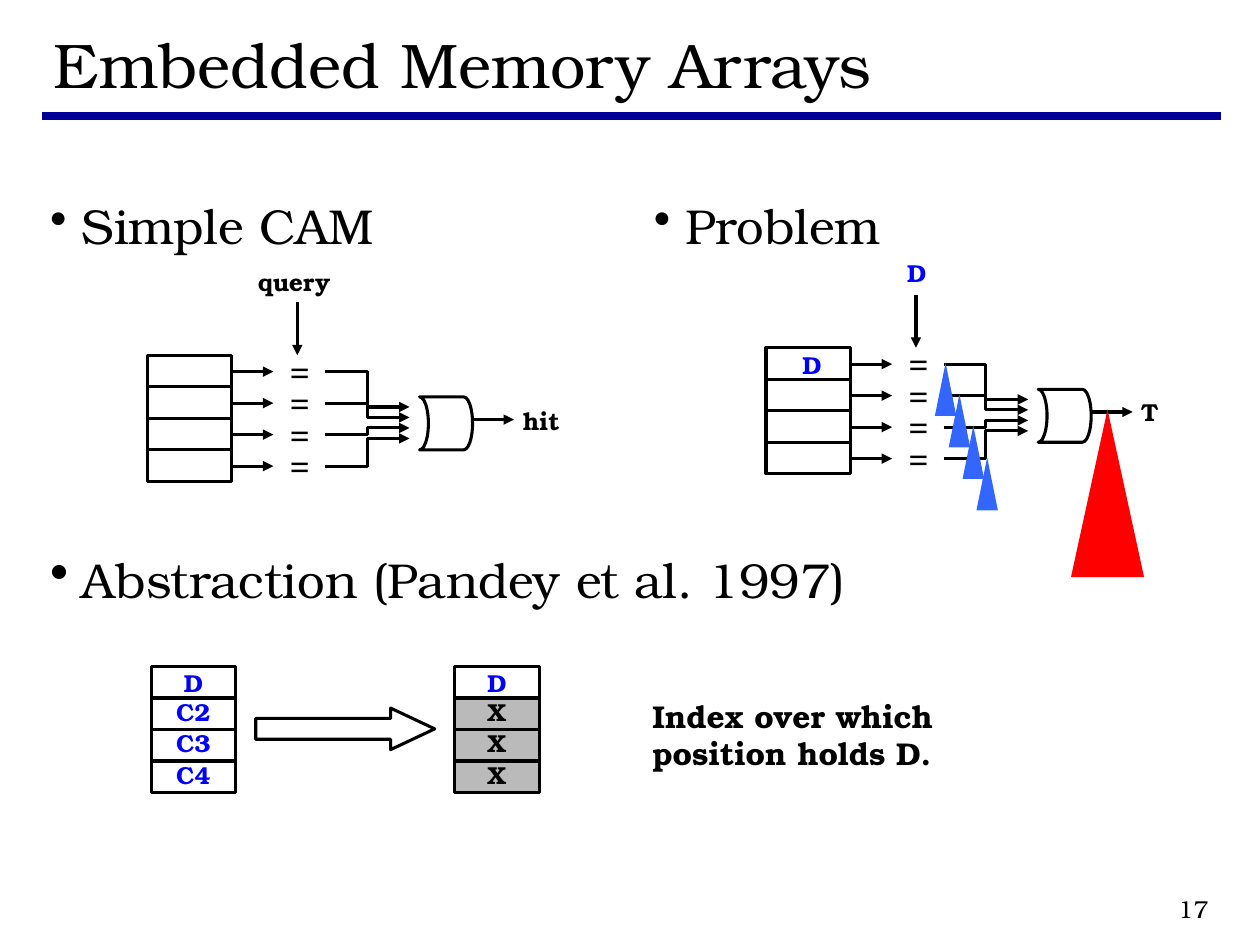
from pptx import Presentation
from pptx.dml import color
from pptx.enum import shapes, text
from pptx.oxml import ns, xmlchemy
from pptx.util import Inches, Pt

SERIF = "TeX Gyre Bonum"
ROMAN = "Times New Roman"
BLACK, BLUE, NAVY, GREY = "000000", "0000FF", "000099", "777777"
RED, SKY = "FF0000", "3366FF"
KIND = shapes.MSO_SHAPE
ALIGN = text.PP_ALIGN
WIRE = 1.75
ROW, CELL = 0.25, 0.67


def paint(hue):
    return color.RGBColor.from_string(hue)


def add_tag(parent, tag, **attrs):
    node = xmlchemy.OxmlElement(tag)
    for key, val in attrs.items():
        node.set(key, val)
    parent.append(node)
    return node


def add_text(slide, words, x, y, w, h, size=14, hue=BLACK, bold=True,
             font=SERIF, align=ALIGN.CENTER, middle=False):
    box = slide.shapes.add_textbox(Inches(x), Inches(y), Inches(w), Inches(h))
    frame = box.text_frame
    frame.word_wrap = True
    if middle:
        frame.vertical_anchor = text.MSO_ANCHOR.MIDDLE
    frame.text = words
    for para in frame.paragraphs:
        para.alignment = align
        for run in para.runs:
            run.font.name, run.font.size = font, Pt(size)
            run.font.bold = bold
            run.font.color.rgb = paint(hue)
    return frame


def add_label(slide, words, x, y, hue=BLACK, w=1.33):
    add_text(slide, words, x, y, w, 0.34, hue=hue)


def add_list(slide, words, x, w, gap=0):
    frame = add_text(slide, words, x, 1.5, w, 5.35, size=28, bold=False,
                     align=ALIGN.LEFT)
    for i, para in enumerate(frame.paragraphs):
        props = para._p.get_or_add_pPr()
        props.set("marL", str(Inches(0.25)))
        props.set("indent", str(-Inches(0.25)))
        if i:
            para.space_before = Pt(gap)
            add_tag(props, "a:buSzPct", val="110000")
        add_tag(props, "a:buChar", char="•")


def add_form(slide, kind, x, y, w, h, fill=None, alpha=None, line=True):
    form = slide.shapes.add_shape(kind, Inches(x), Inches(y), Inches(w), Inches(h))
    form.shadow.inherit = False
    if fill:
        form.fill.solid()
        form.fill.fore_color.rgb = paint(fill)
        if alpha:
            tone = form.fill._xPr.find(".//" + ns.qn("a:srgbClr"))
            add_tag(tone, "a:alpha", val=str(alpha * 1000))
    else:
        form.fill.background()
    if line:
        form.line.color.rgb = paint(BLACK)
        form.line.width = Pt(WIRE)
    else:
        form.line.fill.background()
    return form


def add_wire(slide, x1, y1, x2, y2, bent=False, hue=BLACK, width=WIRE, head=True):
    kind = shapes.MSO_CONNECTOR.ELBOW if bent else shapes.MSO_CONNECTOR.STRAIGHT
    wire = slide.shapes.add_connector(
        kind, Inches(x1), Inches(y1), Inches(x2), Inches(y2))
    wire.line.color.rgb = paint(hue)
    wire.line.width = Pt(width)
    if head:
        add_tag(wire.line._ln, "a:tailEnd", type="triangle")
    add_tag(wire._element.spPr, "a:effectLst")


def add_cam(slide, x, y):
    """Four stored rows, each compared with the query and joined in a gate."""
    for i in range(4):
        top = y + i * ROW
        mid = top + 0.13
        add_form(slide, KIND.RECTANGLE, x, top, CELL, ROW)
        add_text(slide, "=", x + 1, top - 0.09, 0.42, 0.44, size=20, font=ROMAN)
        add_wire(slide, x + CELL, mid, x + 1, mid)
        add_wire(slide, x + 1.41, mid, x + 2.08, y + 0.41 + i / 12, bent=True)
    add_wire(slide, x + 1.19, y - 0.42, x + 1.19, y)
    gate = add_form(slide, KIND.FLOWCHART_STORED_DATA, x + 2.16, y + 0.33, 0.42, 0.42)
    gate.rotation = 180
    add_wire(slide, x + 2.58, y + 0.51, x + 2.91, y + 0.51)


def add_stack(slide, x, y, rows):
    """A column of cells, given as (words, hue, shaded)."""
    for i, (words, hue, shaded) in enumerate(rows):
        top = y + i * ROW
        fill = GREY if shaded else None
        add_form(slide, KIND.RECTANGLE, x, top, CELL, ROW, fill, alpha=50)
        drop = 0.06 if i else 0.04
        add_label(slide, words, x - 0.33, top - drop, hue)


def main():
    deck = Presentation()
    deck.slide_width, deck.slide_height = Inches(10), Inches(7.5)
    slide = deck.slides.add_slide(deck.slide_layouts[6])

    # Title and rule
    add_wire(slide, 0.33, 0.92, 9.69, 0.92, hue=NAVY, width=5, head=False)
    add_text(slide, "Embedded Memory Arrays", 0.33, 0.17, 9.36, 0.67, size=36,
             bold=False, align=ALIGN.LEFT, middle=True)

    # Bulleted headings
    add_list(slide, "Problem", 5.09, 4.61)
    add_list(slide, "Simple CAM\nAbstraction (Pandey et al. 1997)", 0.3, 6.79,
             gap=169)

    # Simple CAM
    add_cam(slide, 1.17, 2.82)
    add_label(slide, "query", 1.67, 2.07)
    add_label(slide, "hit", 3.92, 3.17, w=0.75)

    # Problem
    add_cam(slide, 6.08, 2.76)
    add_label(slide, "D", 6.61, 2, BLUE)
    add_label(slide, "D", 5.78, 2.73, BLUE)
    add_label(slide, "T", 8.75, 3.1, w=0.75)
    add_form(slide, KIND.ISOSCELES_TRIANGLE, 8.5, 3.25, 0.58, 1.33, RED, line=False)
    for i in range(4):
        add_form(slide, KIND.ISOSCELES_TRIANGLE, 7.42 + i * 0.11, 2.88 + i * ROW,
                 0.17, 0.42, SKY, line=False)

    # Abstraction
    held = ("D", BLUE, False)
    add_stack(slide, 1.2, 5.29, [held] + [(f"C{n}", BLUE, False) for n in (2, 3, 4)])
    add_stack(slide, 3.61, 5.29, [held] + [("X", BLACK, True)] * 3)
    arrow = add_form(slide, KIND.RIGHT_ARROW, 2.03, 5.62, 1.42, 0.33)
    arrow.adjustments[1] = 1.06
    add_text(slide, "Index over which position holds D.", 5.08, 5.48, 3.39, 0.7,
             size=18, align=ALIGN.LEFT)

    # Page number
    add_text(slide, "17", 7.61, 7, 2.08, 0.42, bold=False, align=ALIGN.RIGHT,
             middle=True)
    deck.save("out.pptx")


if __name__ == "__main__":
    main()
